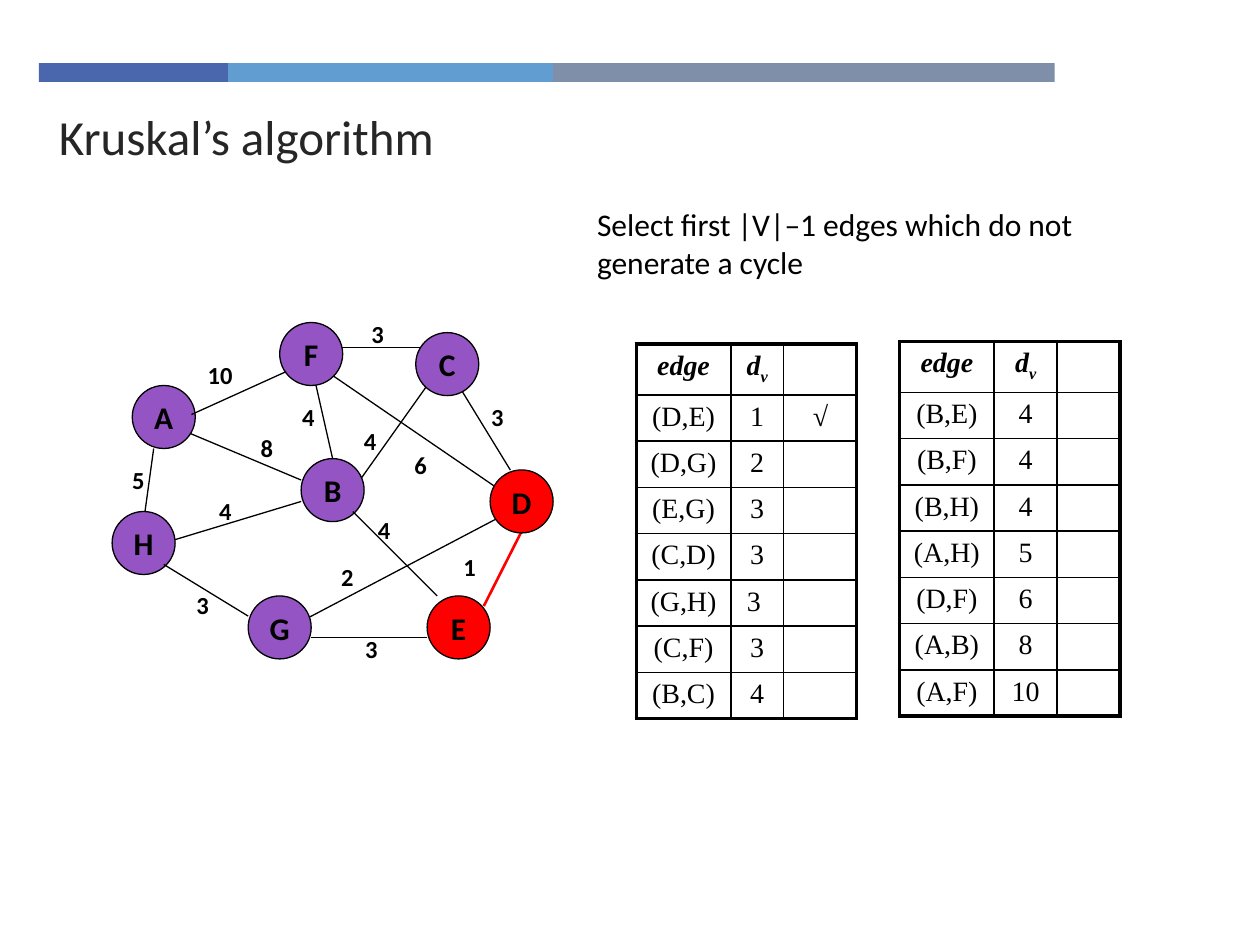
from lxml.etree import SubElement
from pptx import Presentation
from pptx.dml.color import RGBColor
from pptx.enum.shapes import MSO_CONNECTOR, MSO_SHAPE
from pptx.enum.text import MSO_ANCHOR, PP_ALIGN
from pptx.oxml.ns import qn
from pptx.util import Inches, Pt

COLORS = {
    "black": "000000", "title": "262626", "node": "9454C3", "chosen": "FF0000",
    "bar_dark": "4A66AC", "bar_light": "629DD1", "bar_gray": "7F8FA9",
}
COLOR = {name: RGBColor.from_string(value) for name, value in COLORS.items()}

deck = Presentation()
deck.slide_width, deck.slide_height = Inches(10), Inches(7.5)
page = deck.slides.add_slide(deck.slide_layouts[6])
UNIT = deck.slide_width / 100


def grid(*steps):
    return [round(step * UNIT) for step in steps]


def write(frame, text, size, bold=False, color="black", font="Calibri"):
    para = frame.paragraphs[0]
    para.font.name, para.font.size = font, Pt(size)
    para.font.bold = bold
    para.font.color.rgb = COLOR[color]
    if text:
        para.add_run().text = text
    return para


bars = [(15, "bar_dark"), (25.8, "bar_light"), (39.8, "bar_gray")]
left = 3.1
for width, color in bars:
    bar = page.shapes.add_shape(MSO_SHAPE.RECTANGLE, *grid(left, 5, width, 1.5))
    bar.shadow.inherit = False
    bar.fill.solid()
    bar.fill.fore_color.rgb = COLOR[color]
    bar.line.fill.background()
    left += width

texts = [
    ("Kruskal’s algorithm", (3.7, 8, 71.6, 5.4), 28, False, "title"),
    ("Select first |V|–1 edges which do not generate a cycle",
     (46.4, 15.8, 44.2, 7.7), 18, False, "black"),
]
weights = [
    ("5", 9.5, 36.4), ("1", 35.8, 43.3), ("3", 28, 49.8), ("2", 26.1, 44.1),
    ("4", 29, 40.4), ("6", 31.9, 35.2), ("3", 38, 31.4), ("4", 27.9, 33.3),
    ("3", 28.5, 24.8), ("4", 23, 31.4), ("8", 19.7, 33.9), ("4", 16.4, 38.9),
    ("3", 14.6, 46.3), ("10", 15.5, 28.1),
]
for weight, column, row in weights:
    width = 5.2 if weight in ("10", "1", "6") else 3.3
    texts.append((weight, (column, row, width, 3.3), 14, True, "black"))

rear_edges = [
    (42.6, 39.8, 38.4, 48.1), (24.7, 28.9, 26.4, 36.4), (28, 38.9, 33.9, 30.6),
    (39.7, 38.9, 26.4, 29.8), (13, 43.1, 23.9, 39.8), (23, 49.8, 40.5, 40.6),
    (11.4, 41.4, 12.2, 35.6), (13.9, 33.9, 23.9, 38.1), (26.8, 27.6, 33.5, 27.6),
    (36.4, 30.6, 40.5, 37.3),
]
front_edges = [
    (28, 40.6, 34.7, 47.3), (33.9, 50.6, 24.7, 50.6), (19.7, 48.9, 13, 44.8),
    (15.2, 32.9, 22.7, 29.5),
]
nodes = [
    ("A", 10.5, 30.6), ("H", 8.9, 40.6), ("B", 23.9, 36.4), ("F", 22.2, 25.6),
    ("E", 33.9, 47.3), ("D", 38.9, 37.3), ("C", 33, 26.4), ("G", 19.7, 47.3),
]
edges = []
for ends in rear_edges + front_edges:
    edge = page.shapes.add_connector(MSO_CONNECTOR.STRAIGHT, *grid(*ends))
    chosen = ends == rear_edges[0]
    edge.line.color.rgb = COLOR["chosen" if chosen else "black"]
    edge.line.width = Pt(1.5 if chosen else 0.75)
    SubElement(edge._element.spPr, qn("a:effectLst"))
    edges.append(edge)

for name, column, row in nodes:
    node = page.shapes.add_shape(MSO_SHAPE.OVAL, *grid(column, row, 5, 5))
    node.shadow.inherit = False
    node.fill.solid()
    node.fill.fore_color.rgb = COLOR["chosen" if name in "DE" else "node"]
    node.line.color.rgb = COLOR["black"]
    node.line.width = Pt(0.75)
    node.text_frame.word_wrap = False
    node.text_frame.vertical_anchor = MSO_ANCHOR.MIDDLE
    write(node.text_frame, name, 18, True).alignment = PP_ALIGN.CENTER

for edge in edges[len(rear_edges):]:
    page.shapes._spTree.append(edge._element)

for text, place, size, bold, color in texts:
    box = page.shapes.add_textbox(*grid(*place))
    box.text_frame.word_wrap = True
    write(box.text_frame, text, size, bold, color)

tables = [
    ((50.5, 27.3), (7.5, 4.2, 5.8), [
        ("(D,E)", "1", "√"), ("(D,G)", "2", ""), ("(E,G)", "3", ""),
        ("(C,D)", "3", ""), ("(G,H)", "3 ", ""), ("(C,F)", "3", ""),
        ("(B,C)", "4", "")]),
    ((71.4, 27.1), (7.5, 5, 5), [
        ("(B,E)", "4", ""), ("(B,F)", "4", ""), ("(B,H)", "4", ""),
        ("(A,H)", "5", ""), ("(D,F)", "6", ""), ("(A,B)", "8", ""),
        ("(A,F)", "10", "")]),
]
for place, widths, body in tables:
    rows = [("edge", "d", "")] + body
    last_row, last_column = len(rows) - 1, len(widths) - 1
    table = page.shapes.add_table(
        len(rows), len(widths), *grid(*place, sum(widths), 29.7)).table
    table.first_row = table.horz_banding = False
    for column, width in zip(table.columns, grid(*widths)):
        column.width = width
    for r, values in enumerate(rows):
        table.rows[r].height = grid(3.67 if r else 4.05)[0]
        for c, value in enumerate(values):
            cell = table.cell(r, c)
            strong = r == 0 or value == "√"
            size = 16 if r or value else 18
            para = write(cell.text_frame, value, size, strong, font="Times New Roman")
            para.alignment = PP_ALIGN.CENTER
            para.font.italic = strong
            if value == "d":
                span = para.add_run()
                span.text = "v"
                span.font._element.set("baseline", "-25000")
            properties = cell._tc.get_or_add_tcPr()
            outer = {"lnL": c == 0, "lnR": c == last_column,
                     "lnT": r == 0, "lnB": r == last_row}
            for side, is_outer in outer.items():
                border = SubElement(properties, qn(f"a:{side}"),
                                    w=str(Pt(2.25 if is_outer else 1)))
                fill = SubElement(border, qn("a:solidFill"))
                SubElement(fill, qn("a:srgbClr"), val=COLORS["black"])
            cell.fill.background()

deck.save("out.pptx")
